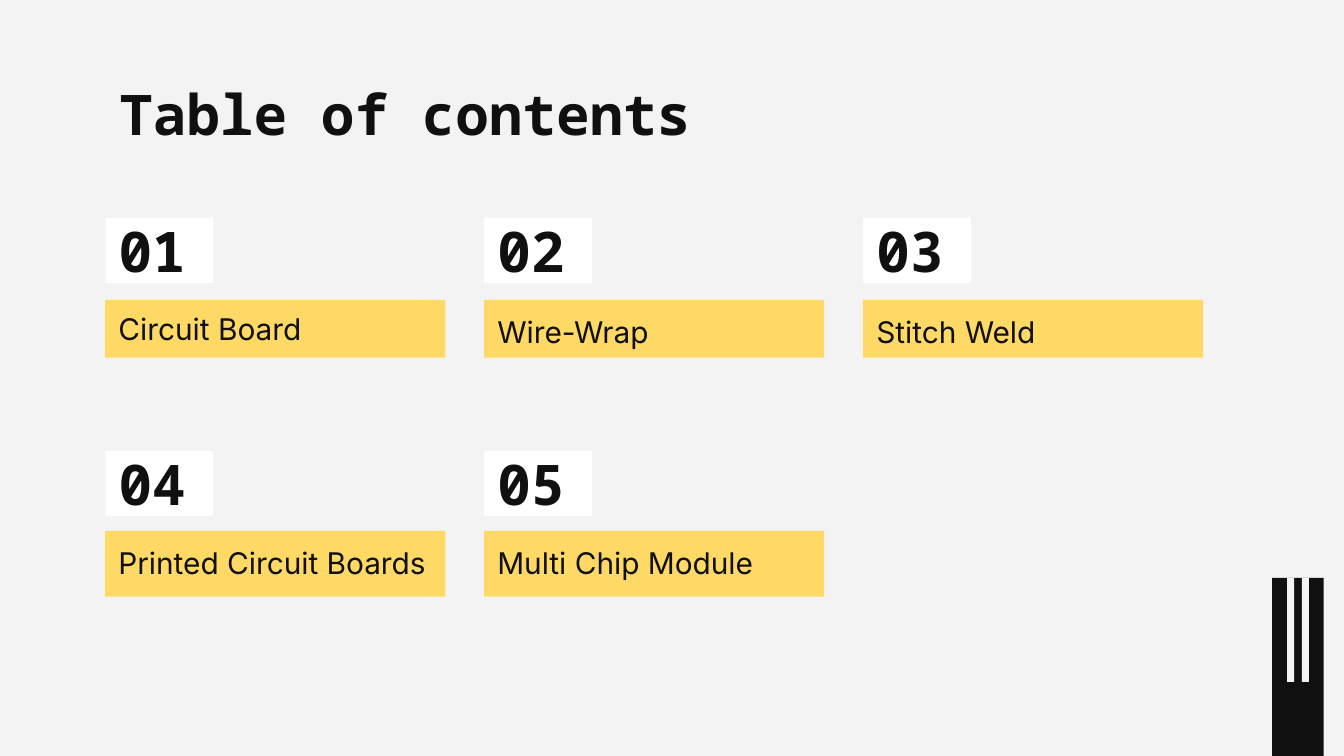
from pptx import Presentation
from pptx import util as u
from pptx.dml.color import RGBColor
from pptx.enum import shapes, text

INK = RGBColor(0x11, 0x10, 0x10)
PAPER = RGBColor(0xF3, 0xF3, 0xF3)
WHITE = RGBColor(0xFF, 0xFF, 0xFF)
YELLOW = RGBColor(0xFF, 0xD9, 0x66)
MONO, SANS = "Noto Sans Mono", "Inter"
TOP, MIDDLE = text.MSO_ANCHOR.TOP, text.MSO_ANCHOR.MIDDLE


def write(frame, words, *, font=SANS, size=16, bold=False, anchor=TOP):
    frame.word_wrap = True
    frame.auto_size = text.MSO_AUTO_SIZE.NONE
    frame.vertical_anchor = anchor
    frame.margin_left = frame.margin_right = u.Pt(7.2)
    frame.margin_top = frame.margin_bottom = u.Pt(7.2)
    paragraph = frame.paragraphs[0]
    paragraph.alignment = text.PP_ALIGN.LEFT
    run = paragraph.add_run()
    run.text = words
    run.font.name = font
    run.font.size = u.Pt(size)
    run.font.bold = bold
    run.font.color.rgb = INK


class Page:
    heading = dict(font=MONO, size=30, bold=True)

    def __init__(self, slide):
        self.slide = slide
        slide.background.fill.solid()
        slide.background.fill.fore_color.rgb = PAPER

    def block(self, box, color):
        block = self.slide.shapes.add_shape(
            shapes.MSO_SHAPE.RECTANGLE, *map(u.Pt, box))
        block.shadow.inherit = False
        block.fill.solid()
        block.fill.fore_color.rgb = color
        block.line.fill.background()
        return block

    def title(self, box, words):
        title = self.slide.shapes.add_textbox(*map(u.Pt, box))
        write(title.text_frame, words, **self.heading)

    def number(self, box, words):
        number = self.block(box, WHITE)
        write(number.text_frame, words, anchor=MIDDLE, **self.heading)

    def topic(self, box, words, anchor):
        topic = self.block(box, YELLOW)
        write(topic.text_frame, words, anchor=anchor)


def main():
    deck = Presentation()
    deck.slide_width, deck.slide_height = u.Pt(720), u.Pt(405)
    page = Page(deck.slides.add_slide(deck.slide_layouts[6]))

    page.block((681.5, 309.6, 27.6, 95.4), INK)
    for stripe_left in (689.5, 697.5):
        page.block((stripe_left, 309.6, 3.8, 55.7), PAPER)

    page.title((56.9, 35.3, 607, 45.4), "Table of contents")

    left, column_step = 56.4, 203
    rows = [
        (116.6, 160.7, 31, [("Circuit Board", MIDDLE), ("Wire-Wrap", TOP),
                            ("Stitch Weld", TOP)]),
        (241.5, 284.4, 35.3, [("Printed Circuit Boards", TOP),
                              ("Multi Chip Module", TOP)]),
    ]
    count = 0
    for number_top, topic_top, topic_height, topics in rows:
        for column, (topic, anchor) in enumerate(topics):
            count += 1
            x = left + column * column_step
            page.number((x, number_top, 57.8, 35.1), f"{count:02}")
            page.topic((x, topic_top, 182.2, topic_height), topic, anchor)

    deck.save("out.pptx")


if __name__ == "__main__":
    main()
